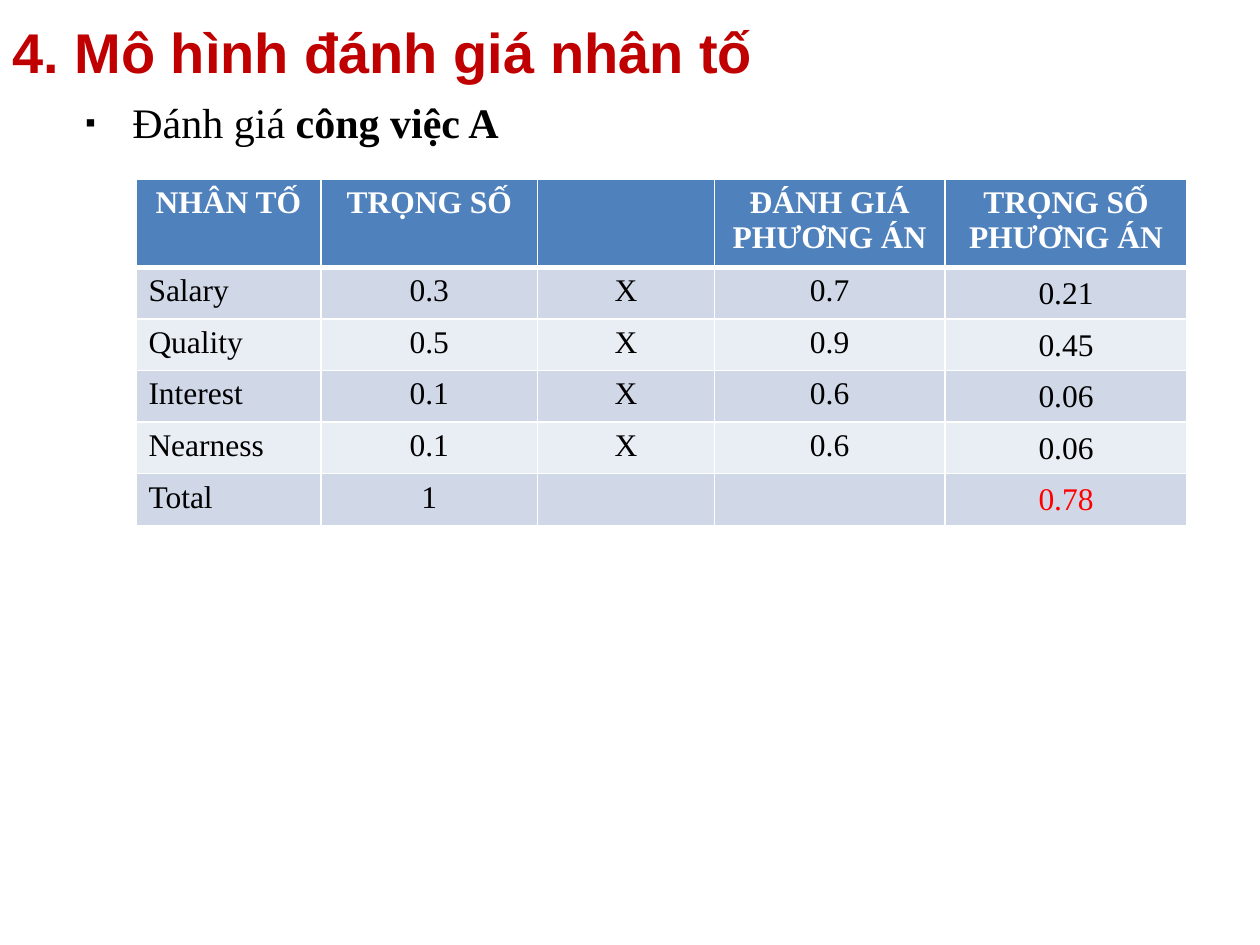
from pptx import Presentation
from pptx.util import Cm, Pt
from pptx.dml.color import RGBColor as Rgb
from pptx.enum.text import PP_ALIGN as Align, MSO_ANCHOR as Anchor
from pptx.oxml.xmlchemy import OxmlElement as Elem

HUES = {"title": "C00000", "text": "000000", "head": "4F81BD", "white": "FFFFFF",
        "odd": "D0D8E8", "even": "E9EDF4", "sum": "FF0000"}
SERIF = "Times New Roman"
ROWS = [
    ["NHÂN TỐ", "TRỌNG SỐ", "", "ĐÁNH GIÁ PHƯƠNG ÁN", "TRỌNG SỐ PHƯƠNG ÁN"],
    ["Salary", "0.3", "X", "0.7", "0.21"],
    ["Quality", "0.5", "X", "0.9", "0.45"],
    ["Interest", "0.1", "X", "0.6", "0.06"],
    ["Nearness", "0.1", "X", "0.6", "0.06"],
    ["Total", "1", "", "", "0.78"],
]
WIDTHS = [3.73, 4.37, 3.56, 4.65, 4.88]
HEAD_H, ROW_H = 1.27, 1.04


def add_run(para, text, hue, **style):
    run = para.add_run()
    run.text = text
    for key, value in style.items():
        setattr(run.font, key, value)
    run.font.color.rgb = Rgb.from_string(HUES[hue])


def add_box(slide, box, anchor):
    frame = slide.shapes.add_textbox(*map(Cm, box)).text_frame
    frame.word_wrap = True
    frame.vertical_anchor = anchor
    return frame.paragraphs[0]


def add_title(slide, box):
    para = add_box(slide, box, Anchor.BOTTOM)
    add_run(para, "4. Mô hình đánh giá nhân tố", "title",
            name="Arial", size=Pt(32), bold=True)


def add_lead(slide, box):
    para = add_box(slide, box, Anchor.TOP)
    para.space_before = Pt(4.8)
    for text, bold in [("Đánh giá ", False), ("công việc A", True)]:
        add_run(para, text, "text", name=SERIF, size=Pt(24), bold=bold)
    # Square bullet with a hanging indent
    props = para._p.get_or_add_pPr()
    props.set("marL", str(Cm(0.95)))
    props.set("indent", str(-Cm(0.95)))
    for tag, key, value in [("buSzPct", "val", "70000"),
                            ("buFont", "typeface", "Arial"),
                            ("buChar", "char", "▪")]:
        mark = Elem(f"a:{tag}")
        mark.set(key, value)
        props.append(mark)


def add_edges(cell, top, bottom):
    props = cell._tc.get_or_add_tcPr()
    for side, width in [("L", 1), ("R", 1), ("T", top), ("B", bottom)]:
        line = Elem(f"a:ln{side}")
        line.set("w", str(Pt(width)))
        fill, color = Elem("a:solidFill"), Elem("a:srgbClr")
        color.set("val", HUES["white"])
        fill.append(color)
        line.append(fill)
        props.append(line)


def fill_cell(cell, row, col, text):
    head, last = row == 0, col == len(WIDTHS) - 1
    # Borders come before the fill in the cell properties
    add_edges(cell, 3 if row == 1 else 1, 3 if head else 1)
    cell.fill.solid()
    back = "head" if head else "odd" if row % 2 else "even"
    cell.fill.fore_color.rgb = Rgb.from_string(HUES[back])
    # Weighted scores sit mid-cell with thin margins
    if last and not head:
        cell.vertical_anchor = Anchor.MIDDLE
        for side in ("left", "top", "right"):
            setattr(cell, f"margin_{side}", Cm(0.03))
        cell.margin_bottom = 0
    para = cell.text_frame.paragraphs[0]
    para.alignment = Align.CENTER if head or col else Align.LEFT
    if text:
        total = last and row == len(ROWS) - 1
        hue = "white" if head else "sum" if total else "text"
        add_run(para, text, hue, name=SERIF, size=Pt(18), bold=head)


def add_scores(slide, left, top):
    heights = [HEAD_H] + [ROW_H] * (len(ROWS) - 1)
    box = (left, top, sum(WIDTHS), sum(heights))
    table = slide.shapes.add_table(len(ROWS), len(WIDTHS), *map(Cm, box)).table
    for col, width in zip(table.columns, WIDTHS):
        col.width = Cm(width)
    for row, height in zip(table.rows, heights):
        row.height = Cm(height)
    for row, texts in enumerate(ROWS):
        for col, text in enumerate(texts):
            fill_cell(table.cell(row, col), row, col, text)


def main():
    deck = Presentation()
    deck.slide_width, deck.slide_height = Cm(25.4), Cm(19.05)
    slide = deck.slides.add_slide(deck.slide_layouts[6])
    add_lead(slide, (1.47, 1.83, 22.86, 12.57))
    add_scores(slide, 2.74, 3.61)
    add_title(slide, (0, 0, 22.86, 1.83))
    deck.save("out.pptx")


if __name__ == "__main__":
    main()
